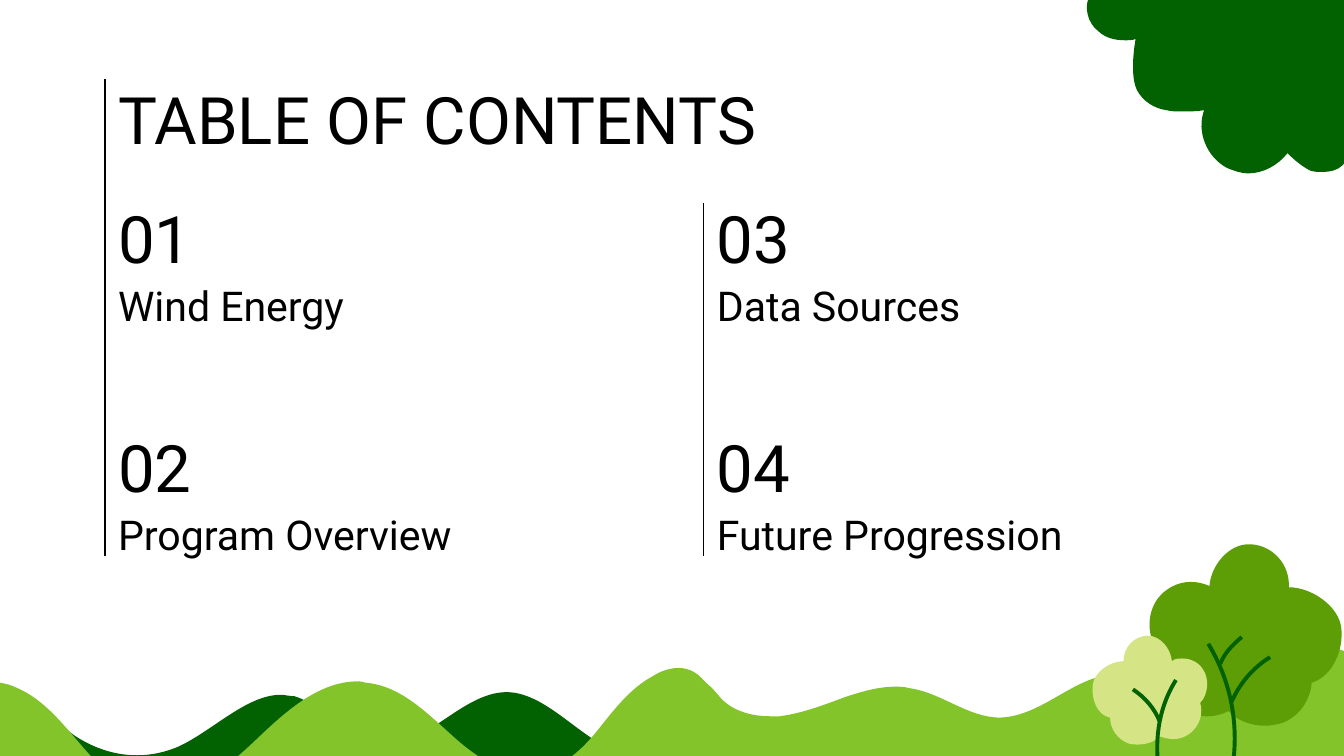
from lxml.etree import SubElement
from pptx import Presentation
from pptx.dml.color import RGBColor
from pptx.enum.shapes import MSO_CONNECTOR
from pptx.enum.text import MSO_ANCHOR, PP_ALIGN
from pptx.oxml.ns import qn
from pptx.util import Pt

COLORS = {
    "white": "FFFFFF", "text": "000000", "dark": "026201",
    "grass": "82C429", "leaf": "5D9E06", "pale": "D5E484",
}
FONT = "Roboto"
UNIT = 0.72  # points per outline unit

# Outlines: a start point, then lines (x, y) or cubic curves (x1, y1, x2, y2, x, y)
BACK_HILLS = [
    (377, 515), (345, 515, 317, 555, 286, 555), (284, 555, 282, 555, 279, 554),
    (258, 550, 240, 524, 219, 518), (215, 518, 212, 517, 209, 517),
    (184, 517, 159, 543, 134, 555), (123, 560, 112, 562, 102, 562),
    (86, 562, 70, 557, 55, 547), (44, 539, 34, 528, 22, 524),
    (17, 521, 11, 520, 6, 520), (-14, 520, -34, 533, -53, 544),
    (-69, 553, -85, 561, -101, 561), (-111, 561, -120, 558, -129, 551),
    (-129, 603), (471, 592), (471, 562), (439, 560, 410, 515, 377, 515),
]
RIGHT_HILLS = [
    (985, 482), (992, 482, 999, 483, 1005, 487), (1036, 508, 1066, 556, 1073, 573),
    (1081, 591, 1070, 657, 1067, 676), (494, 676), (493, 673, 497, 499, 497, 499),
    (499, 498, 501, 498, 503, 498), (515, 498, 528, 509, 535, 518),
    (544, 529, 559, 533, 573, 533), (575, 533, 578, 533, 580, 533),
    (596, 531, 612, 525, 628, 519), (640, 515, 653, 511, 666, 511),
    (670, 511, 673, 511, 676, 512), (700, 515, 720, 534, 744, 534),
    (776, 533, 800, 502, 830, 502), (831, 502, 832, 502, 833, 502),
    (853, 504, 869, 519, 888, 523), (893, 524, 897, 525, 901, 525),
    (921, 525, 938, 514, 950, 497), (958, 488, 972, 482, 985, 482),
]
LEFT_HILLS = [
    (505, 497), (499, 497, 492, 499, 486, 503), (469, 512, 457, 528, 445, 543),
    (433, 558, 418, 572, 398, 575), (396, 575, 394, 575, 392, 575),
    (370, 575, 350, 560, 334, 545), (316, 529, 297, 510, 272, 508),
    (270, 507, 268, 507, 266, 507), (237, 507, 212, 530, 191, 550),
    (171, 569, 147, 590, 119, 590), (116, 590, 113, 590, 109, 589),
    (68, 582, 52, 529, 13, 512), (5, 508, -4, 507, -14, 507),
    (-33, 507, -53, 514, -69, 526), (-92, 542, -145, 599, -156, 625),
    (-161, 638, -167, 681, -167, 681), (527, 686), (527, 511),
    (521, 501, 513, 497, 505, 497),
]
CORNER_FOLIAGE = [
    (929, 129), (923, 129, 918, 127, 913, 125), (898, 117, 890, 98, 896, 82),
    (890, 83, 885, 83, 879, 83), (875, 83, 872, 83, 868, 82),
    (859, 81, 850, 75, 846, 67), (840, 55, 845, 29, 845, 29),
    (843, 30, 840, 30, 837, 30), (829, 30, 822, 28, 817, 23),
    (809, 17, 807, 5, 810, -1), (1003, -1), (1004, 104),
    (1004, 104, 1005, 118, 999, 123), (995, 127, 989, 128, 984, 128),
    (981, 128, 978, 128, 975, 127), (969, 124, 963, 119, 958, 114),
    (951, 123, 940, 129, 929, 129),
]
BIG_CROWN = [
    (929, 405), (914, 405, 901, 421, 900, 436), (895, 434, 891, 433, 886, 433),
    (876, 433, 867, 438, 861, 446), (852, 459, 854, 478, 865, 488),
    (857, 512, 876, 533, 898, 533), (903, 533, 909, 532, 914, 529),
    (920, 536, 931, 540, 941, 540), (946, 540, 950, 539, 954, 538),
    (967, 533, 975, 521, 976, 508), (992, 503, 1000, 483, 998, 467),
    (996, 451, 976, 437, 959, 437), (960, 420, 947, 406, 931, 405),
    (930, 405, 930, 405, 929, 405),
]
SMALL_CROWN = [
    (854, 473), (863, 473, 871, 482, 872, 492), (874, 490, 877, 490, 880, 490),
    (886, 490, 892, 493, 895, 498), (900, 505, 899, 517, 893, 523),
    (897, 537, 886, 550, 873, 550), (870, 550, 866, 549, 863, 548),
    (859, 552, 853, 554, 847, 554), (844, 554, 842, 554, 839, 553),
    (832, 550, 826, 543, 826, 534), (816, 532, 812, 520, 813, 510),
    (814, 500, 826, 492, 836, 492), (836, 482, 843, 474, 853, 473),
    (854, 473, 854, 473, 854, 473),
]
BIG_BRANCHES = [
    [(917, 571), (922, 539, 916, 507, 899, 479)],
    [(916, 523), (922, 509, 932, 497, 945, 489)],
    [(908, 494), (911, 486, 917, 480, 924, 474)],
]
SMALL_BRANCHES = [
    [(862, 571), (859, 548, 863, 525, 875, 506)],
    [(863, 537), (859, 527, 852, 519, 843, 513)],
]
TOPICS = ["Wind Energy", "Program Overview", "Data Sources", "Future Progression"]


def color(name):
    return RGBColor.from_string(COLORS[name])


def bend(sp, outline):
    """Replace the straight pieces of a freeform by its cubic curves."""
    left, top = sp.left, sp.top
    pieces = list(sp._element.iter(qn("a:lnTo")))
    for piece, seg in zip(pieces, outline[1:]):
        if len(seg) == 2:
            continue
        piece.clear()
        curve = SubElement(piece.getparent(), qn("a:cubicBezTo"))
        for x, y in zip(seg[::2], seg[1::2]):
            SubElement(curve, qn("a:pt"), x=str(Pt(x * UNIT) - left), y=str(Pt(y * UNIT) - top))
        piece.getparent().replace(piece, curve)


def add_outline(shapes, outline, fill=None, line=None):
    points = [(Pt(seg[-2] * UNIT), Pt(seg[-1] * UNIT)) for seg in outline]
    builder = shapes.build_freeform(*points[0])
    builder.add_line_segments(points[1:], close=fill is not None)
    sp = builder.convert_to_shape()
    bend(sp, outline)
    sp.shadow.inherit = False
    if fill:
        sp.fill.solid()
        sp.fill.fore_color.rgb = color(fill)
    else:
        sp.fill.background()
    if line:
        sp.line.color.rgb = color(line)
        sp.line.width = Pt(2.1)
    else:
        sp.line.fill.background()


def add_text(s, text, left, top, width, height, size=35, anchor=MSO_ANCHOR.MIDDLE):
    tf = s.shapes.add_textbox(Pt(left), Pt(top), Pt(width), Pt(height)).text_frame
    tf.word_wrap = True
    tf.vertical_anchor = anchor
    tf.margin_left = tf.margin_right = tf.margin_top = tf.margin_bottom = Pt(7.2)
    p = tf.paragraphs[0]
    p.alignment = PP_ALIGN.LEFT
    r = p.add_run()
    r.text = text
    r.font.name, r.font.size = FONT, Pt(size)
    r.font.color.rgb = color("text")


def add_rule(s, x, top, bottom):
    cn = s.shapes.add_connector(MSO_CONNECTOR.STRAIGHT, Pt(x), Pt(top), Pt(x), Pt(bottom))
    cn.line.color.rgb = color("text")
    cn.line.width = Pt(0.75)
    SubElement(cn._element.spPr, qn("a:effectLst"))


def add_tree(shapes, crown, fill, branches):
    add_outline(shapes, crown, fill=fill)
    for branch in branches:
        add_outline(shapes, branch, line="dark")


def main():
    prs = Presentation()
    prs.slide_width, prs.slide_height = Pt(720), Pt(405)
    s = prs.slides.add_slide(prs.slide_layouts[6])
    s.background.fill.solid()
    s.background.fill.fore_color.rgb = color("white")

    # Hills and corner foliage
    hills = s.shapes.add_group_shape().shapes
    add_outline(hills, BACK_HILLS, fill="dark")
    add_outline(hills, RIGHT_HILLS, fill="grass")
    add_outline(hills, LEFT_HILLS, fill="grass")
    add_outline(s.shapes, CORNER_FOLIAGE, fill="dark")

    # Title and topics, two columns filled downwards
    left, column_step, row_step = 56.2, 320.8, 123.1
    add_text(s, "TABLE OF CONTENTS", left, 35.3, 607.7, 45.4, anchor=MSO_ANCHOR.TOP)
    for i, topic in enumerate(TOPICS):
        column, row = divmod(i, 2)
        x, y = left + column * column_step, 108.3 + row * row_step
        add_text(s, f"{i + 1:02}", x, y, 57.6, 37.4)
        add_text(s, topic, x, y + 37.9, 286.6, 37.4, size=22, anchor=MSO_ANCHOR.BOTTOM)

    # Column rules
    add_rule(s, left, 42.5, 297.7)
    add_rule(s, left + column_step, 108.7, 297.7)

    # Trees
    trees = s.shapes.add_group_shape().shapes
    add_tree(trees, BIG_CROWN, "leaf", BIG_BRANCHES)
    add_tree(trees, SMALL_CROWN, "pale", SMALL_BRANCHES)

    prs.save("out.pptx")


if __name__ == "__main__":
    main()
